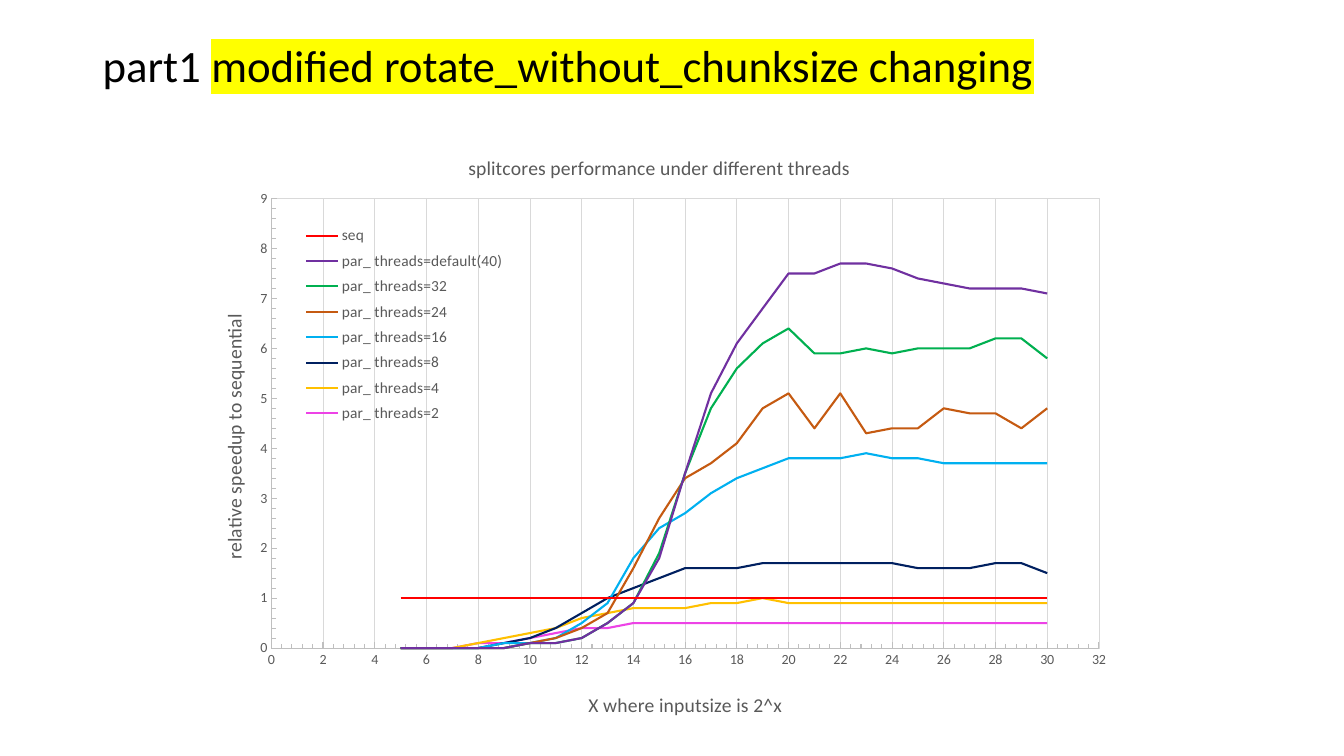
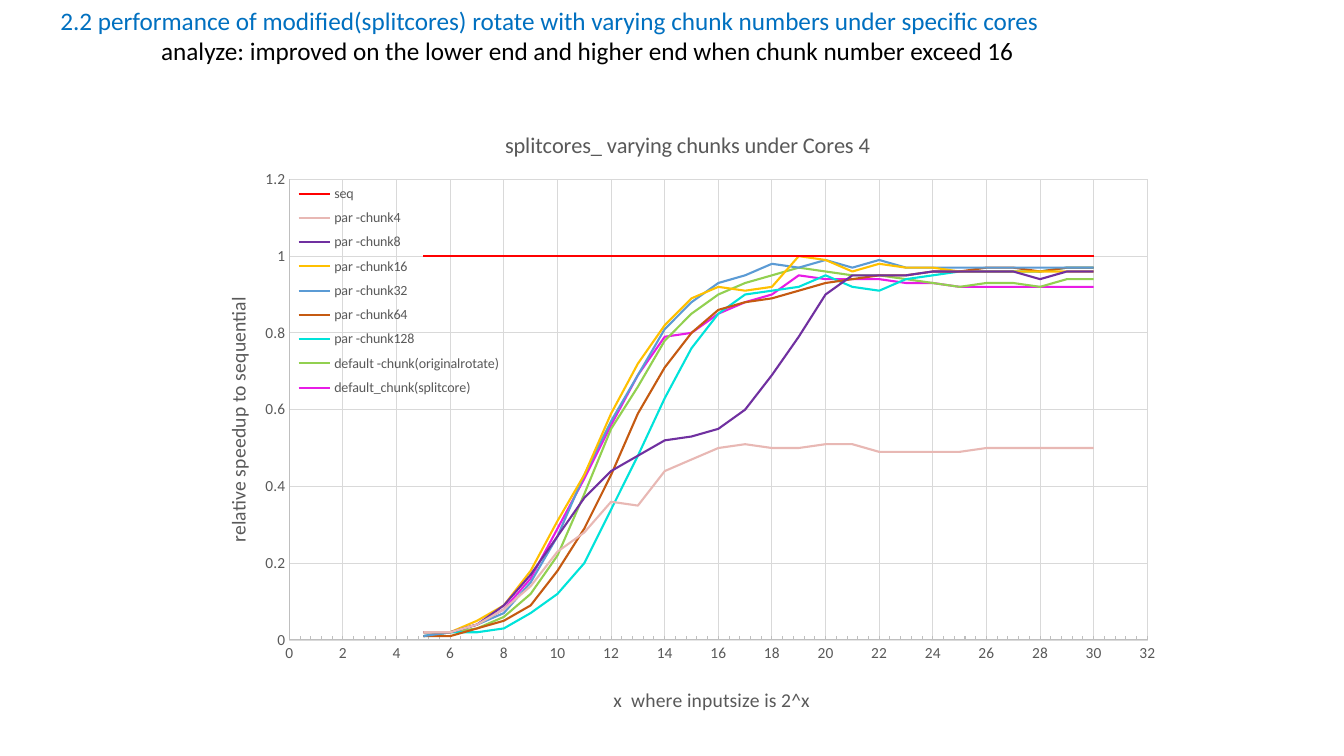
from lxml.etree import SubElement
from pptx import Presentation
from pptx.chart.data import XyChartData
from pptx.dml.color import RGBColor
from pptx.enum.chart import XL_CHART_TYPE, XL_LEGEND_POSITION, XL_TICK_MARK
from pptx.oxml.ns import qn
from pptx.util import Inches, Pt

BLACK = RGBColor(0x00, 0x00, 0x00)
GRAY = RGBColor(0x59, 0x59, 0x59)
AXIS_GRAY = RGBColor(0xBF, 0xBF, 0xBF)
GRID_GRAY = RGBColor(0xD9, 0xD9, 0xD9)
YELLOW = RGBColor(0xFF, 0xFF, 0x00)
BLUE = RGBColor(0x00, 0x70, 0xC0)
RED = RGBColor(0xFF, 0x00, 0x00)
PURPLE = RGBColor(0x70, 0x30, 0xA0)
GREEN = RGBColor(0x00, 0xB0, 0x50)
ORANGE = RGBColor(0xC5, 0x5A, 0x11)
SKY = RGBColor(0x00, 0xB0, 0xF0)
NAVY = RGBColor(0x00, 0x20, 0x60)
GOLD = RGBColor(0xFF, 0xC0, 0x00)
PINK = RGBColor(0xED, 0x43, 0xE6)
ROSE = RGBColor(0xE8, 0xB8, 0xB4)
STEEL = RGBColor(0x5B, 0x9B, 0xD5)
CYAN = RGBColor(0x00, 0xE3, 0xDA)
LIME = RGBColor(0x92, 0xD0, 0x50)
MAGENTA = RGBColor(0xE8, 0x1C, 0xE6)

FONT = "Calibri"
EXPONENTS = range(5, 31)
SEQUENTIAL = ("seq", RED, [1] * len(EXPONENTS))

THREAD_CHART = {
    "box": (1.87, 1.24, 9.28, 6.03),
    "plot": (0.82, 0.73, 8.21, 4.46),
    "legend": (1.13, 0.94, 2.02, 2.08),
    "legend_position": XL_LEGEND_POSITION.LEFT,
    "legend_size": 11,
    "title": ("splitcores performance under different threads", 14, (2.74, 0.25)),
    "x_title": ("X where inputsize is 2^x", 14, (3.93, 5.58)),
    "y_title": ("relative speedup to sequential", 14, (0.28, 1.84)),
    "label_size": 10,
    "x_axis": {"minimum_scale": 0, "maximum_scale": 32, "major_unit": 2,
               "minor_unit": 0.4, "has_major_gridlines": True,
               "major_tick_mark": XL_TICK_MARK.INSIDE, "minor_tick_mark": XL_TICK_MARK.INSIDE},
    "y_axis": {"minimum_scale": 0, "maximum_scale": 9, "major_unit": 1,
               "minor_unit": 0.2, "has_major_gridlines": False,
               "major_tick_mark": XL_TICK_MARK.INSIDE, "minor_tick_mark": XL_TICK_MARK.INSIDE},
    "grid_width": 0.5,
    "series": [
        SEQUENTIAL,
        ("par_ threads=default(40)", PURPLE,
         [0, 0, 0, 0, 0, 0.1, 0.1, 0.2, 0.5, 0.9, 1.8, 3.5, 5.1,
          6.1, 6.8, 7.5, 7.5, 7.7, 7.7, 7.6, 7.4, 7.3, 7.2, 7.2, 7.2, 7.1]),
        ("par_ threads=32", GREEN,
         [0, 0, 0, 0, 0, 0.1, 0.1, 0.2, 0.5, 0.9, 1.9, 3.5, 4.8,
          5.6, 6.1, 6.4, 5.9, 5.9, 6, 5.9, 6, 6, 6, 6.2, 6.2, 5.8]),
        ("par_ threads=24", ORANGE,
         [0, 0, 0, 0, 0, 0.1, 0.2, 0.4, 0.7, 1.6, 2.6, 3.4, 3.7,
          4.1, 4.8, 5.1, 4.4, 5.1, 4.3, 4.4, 4.4, 4.8, 4.7, 4.7, 4.4, 4.8]),
        ("par_ threads=16", SKY,
         [0, 0, 0, 0, 0.1, 0.1, 0.2, 0.5, 0.9, 1.8, 2.4, 2.7, 3.1,
          3.4, 3.6, 3.8, 3.8, 3.8, 3.9, 3.8, 3.8, 3.7, 3.7, 3.7, 3.7, 3.7]),
        ("par_ threads=8", NAVY,
         [0, 0, 0, 0, 0.1, 0.2, 0.4, 0.7, 1, 1.2, 1.4, 1.6, 1.6,
          1.6, 1.7, 1.7, 1.7, 1.7, 1.7, 1.7, 1.6, 1.6, 1.6, 1.7, 1.7, 1.5]),
        ("par_ threads=4", GOLD,
         [0, 0, 0, 0.1, 0.2, 0.3, 0.4, 0.6, 0.7, 0.8, 0.8, 0.8, 0.9,
          0.9, 1, 0.9, 0.9, 0.9, 0.9, 0.9, 0.9, 0.9, 0.9, 0.9, 0.9, 0.9]),
        ("par_ threads=2", PINK,
         [0, 0, 0, 0.1, 0.1, 0.2, 0.3, 0.4, 0.4] + [0.5] * 17),
    ],
}

CHUNK_CHART = {
    "box": (1.91, 1.01, 9.75, 6.2),
    "plot": (0.96, 0.77, 8.51, 4.57),
    "legend": (1.02, 0.75, 2.05, 2.25),
    "legend_position": XL_LEGEND_POSITION.RIGHT,
    "legend_size": 10,
    "title": ("splitcores_ varying chunks under Cores 4", 16, (3.06, 0.24)),
    "x_title": ("x  where inputsize is 2^x", 14, (4.14, 5.76)),
    "y_title": ("relative speedup to sequential", 14, (0.28, 1.9)),
    "label_size": 11,
    "x_axis": {"minimum_scale": 0, "maximum_scale": 32, "major_unit": 2,
               "minor_unit": 0.4, "has_major_gridlines": True,
               "major_tick_mark": XL_TICK_MARK.NONE, "minor_tick_mark": XL_TICK_MARK.INSIDE},
    "y_axis": {"minimum_scale": 0, "maximum_scale": 1.2, "major_unit": 0.2,
               "has_major_gridlines": True,
               "major_tick_mark": XL_TICK_MARK.NONE, "minor_tick_mark": XL_TICK_MARK.NONE},
    "grid_width": 0.75,
    "series": [
        SEQUENTIAL,
        ("par -chunk4", ROSE,
         [0.02, 0.02, 0.04, 0.08, 0.14, 0.23, 0.28, 0.36, 0.35, 0.44, 0.47, 0.5, 0.51,
          0.5, 0.5, 0.51, 0.51, 0.49, 0.49, 0.49, 0.49, 0.5, 0.5, 0.5, 0.5, 0.5]),
        ("par -chunk8", PURPLE,
         [0.02, 0.02, 0.04, 0.09, 0.17, 0.27, 0.37, 0.44, 0.48, 0.52, 0.53, 0.55, 0.6,
          0.69, 0.79, 0.9, 0.95, 0.95, 0.95, 0.96, 0.96, 0.96, 0.96, 0.94, 0.96, 0.96]),
        ("par -chunk16", GOLD,
         [0.02, 0.02, 0.05, 0.09, 0.18, 0.31, 0.43, 0.59, 0.72, 0.82, 0.89, 0.92, 0.91,
          0.92, 1, 0.99, 0.96, 0.98, 0.97, 0.97, 0.96, 0.96, 0.96, 0.96, 0.96, 0.96]),
        ("par -chunk32", STEEL,
         [0.01, 0.02, 0.04, 0.07, 0.15, 0.27, 0.43, 0.57, 0.69, 0.81, 0.88, 0.93, 0.95,
          0.98, 0.97, 0.99, 0.97, 0.99, 0.97, 0.97, 0.97, 0.97, 0.97, 0.97, 0.97, 0.97]),
        ("par -chunk64", ORANGE,
         [0.01, 0.01, 0.03, 0.05, 0.09, 0.18, 0.29, 0.43, 0.59, 0.71, 0.8, 0.86, 0.88,
          0.89, 0.91, 0.93, 0.94, 0.95, 0.95, 0.96, 0.96, 0.97, 0.97, 0.96, 0.97, 0.97]),
        ("par -chunk128", CYAN,
         [0.01, 0.02, 0.02, 0.03, 0.07, 0.12, 0.2, 0.34, 0.48, 0.63, 0.76, 0.85, 0.9,
          0.91, 0.92, 0.95, 0.92, 0.91, 0.94, 0.95, 0.96, 0.96, 0.96, 0.96, 0.97, 0.97]),
        ("default -chunk(originalrotate)", LIME,
         [0.01, 0.02, 0.03, 0.06, 0.12, 0.22, 0.38, 0.55, 0.66, 0.78, 0.85, 0.9, 0.93,
          0.95, 0.97, 0.96, 0.95, 0.95, 0.94, 0.93, 0.92, 0.93, 0.93, 0.92, 0.94, 0.94]),
        ("default_chunk(splitcore)", MAGENTA,
         [0.01, 0.02, 0.04, 0.08, 0.16, 0.29, 0.42, 0.56, 0.69, 0.79, 0.8, 0.85, 0.88,
          0.9, 0.95, 0.94, 0.94, 0.94, 0.93, 0.93, 0.92, 0.92, 0.92, 0.92, 0.92, 0.92]),
    ],
}


def set_attributes(target, values):
    for name, value in values.items():
        setattr(target, name, value)


def format_font(font, size, color):
    set_attributes(font, {"name": FONT, "size": Pt(size), "bold": False})
    font.color.rgb = color


def format_line(line, color, width):
    line.color.rgb = color
    line.width = Pt(width)


def add_run(paragraph, text, size, color, highlight=None):
    run = paragraph.add_run()
    run.text = text
    format_font(run.font, size, color)
    if highlight is not None:
        properties = run.font._element
        mark = SubElement(properties, qn("a:highlight"))
        SubElement(mark, qn("a:srgbClr")).set("val", str(highlight))
        properties.find(qn("a:solidFill")).addnext(mark)


def add_text_frame(slide, box):
    shape = slide.shapes.add_textbox(*map(Inches, box))
    shape.text_frame.word_wrap = True
    return shape.text_frame


def place_part(part, chart_box, position, before=None, inner=False):
    for old_layout in part.findall(qn("c:layout")):
        part.remove(old_layout)
    layout = SubElement(part, qn("c:layout"))
    manual = SubElement(layout, qn("c:manualLayout"))
    if inner:
        SubElement(manual, qn("c:layoutTarget")).set("val", "inner")
    for mode in ("xMode", "yMode"):
        SubElement(manual, qn(f"c:{mode}")).set("val", "edge")
    for name, length, total in zip("xywh", position, chart_box[2:] * 2):
        SubElement(manual, qn(f"c:{name}")).set("val", f"{length / total:.4f}")
    if before is None:
        part.insert(0, layout)
    else:
        part.find(qn(before)).addnext(layout)


def add_chart_title(title, chart_box, text, size, position):
    paragraph = title.text_frame.paragraphs[0]
    add_run(paragraph, text, size, GRAY)
    place_part(title._element, chart_box, position, before="c:tx")


def format_axis(axis, design, prefix):
    set_attributes(axis, design[f"{prefix}_axis"])
    format_line(axis.format.line, AXIS_GRAY, 0.75)
    if axis.has_major_gridlines:
        format_line(axis.major_gridlines.format.line, GRID_GRAY, design["grid_width"])
    labels = axis.tick_labels
    set_attributes(labels, {"number_format": "General", "number_format_is_linked": False})
    format_font(labels.font, design["label_size"], GRAY)
    add_chart_title(axis.axis_title, design["box"], *design[f"{prefix}_title"])


def frame_plot(plot_area):
    properties = SubElement(plot_area, qn("c:spPr"))
    SubElement(properties, qn("a:noFill"))
    line = SubElement(properties, qn("a:ln"), w=str(Pt(0.5)))
    fill = SubElement(line, qn("a:solidFill"))
    SubElement(fill, qn("a:srgbClr")).set("val", str(GRID_GRAY))


def add_speedup_chart(slide, design):
    box = design["box"]
    data = XyChartData()
    for name, _, speedups in design["series"]:
        series = data.add_series(name)
        for exponent, speedup in zip(EXPONENTS, speedups):
            series.add_data_point(exponent, speedup)
    chart = slide.shapes.add_chart(
        XL_CHART_TYPE.XY_SCATTER_LINES_NO_MARKERS, *map(Inches, box), data).chart
    format_font(chart.font, 10, BLACK)
    chart.plots[0].vary_by_categories = False
    for series, (_, color, _) in zip(chart.plots[0].series, design["series"]):
        series.smooth = False
        format_line(series.format.line, color, 1.5)

    chart.has_title = True
    add_chart_title(chart.chart_title, box, *design["title"])
    format_axis(chart.category_axis, design, "x")
    format_axis(chart.value_axis, design, "y")
    body = chart.value_axis.axis_title.text_frame._element.find(qn("a:bodyPr"))
    body.set("rot", "-5400000")
    body.set("vert", "horz")

    chart.has_legend = True
    legend = chart.legend
    set_attributes(legend, {"position": design["legend_position"], "include_in_layout": True})
    format_font(legend.font, design["legend_size"], GRAY)
    place_part(legend._element, box, design["legend"], before="c:legendPos")
    plot_area = chart.element.find(f".//{qn('c:plotArea')}")
    place_part(plot_area, box, design["plot"], inner=True)
    frame_plot(plot_area)


def add_thread_slide(slide):
    frame = add_text_frame(slide, (0.92, 0.23, 11.5, 1.45))
    frame.margin_top = Inches(0.2)
    paragraph = frame.paragraphs[0]
    paragraph.line_spacing = 0.9
    add_run(paragraph, "part1 ", 32, BLACK)
    add_run(paragraph, "modified rotate_without_chunksize changing", 32, BLACK, YELLOW)
    add_speedup_chart(slide, THREAD_CHART)


def add_chunk_slide(slide):
    add_speedup_chart(slide, CHUNK_CHART)
    frame = add_text_frame(slide, (0, 0, 10.86, 0.71))
    lines = [
        ("2.2 performance of modified(splitcores) rotate with varying chunk numbers"
         " under specific cores", BLUE, 0.5),
        ("analyze: improved on the lower end and higher end when chunk number exceed 16",
         BLACK, 1.5),
    ]
    for index, (text, color, indent) in enumerate(lines):
        paragraph = frame.add_paragraph() if index else frame.paragraphs[0]
        paragraph._p.get_or_add_pPr().set("marL", str(Inches(indent)))
        add_run(paragraph, text, 18, color)


def main():
    presentation = Presentation()
    set_attributes(presentation, {"slide_width": Inches(13.33), "slide_height": Inches(7.5)})
    for build in (add_thread_slide, add_chunk_slide):
        build(presentation.slides.add_slide(presentation.slide_layouts[6]))
    presentation.save("out.pptx")


if __name__ == "__main__":
    main()
